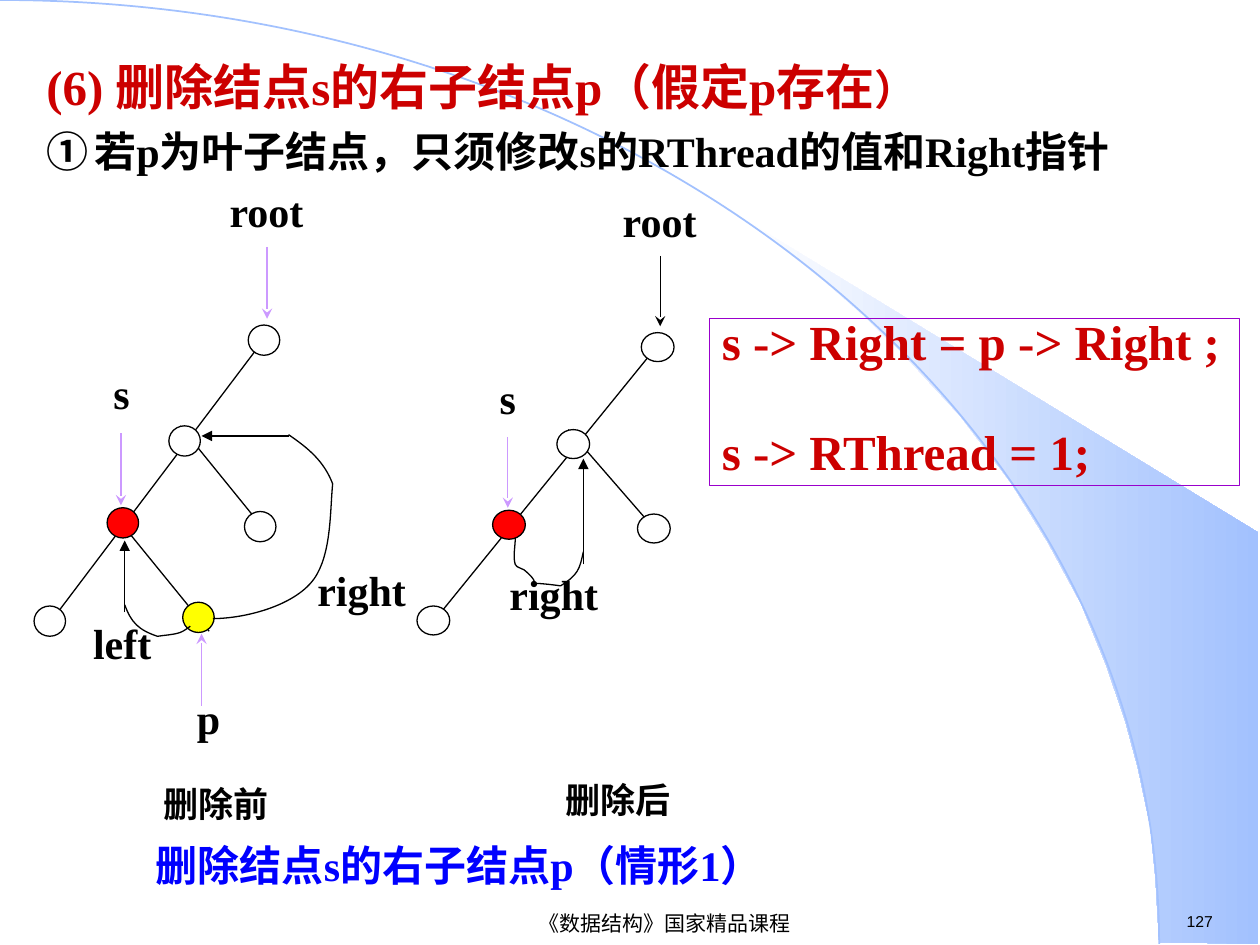
from pptx import Presentation, util as u
from pptx.dml.color import RGBColor
from pptx.enum import shapes, text
from pptx.oxml import ns
from lxml import etree

BLACK = RGBColor(0x00, 0x00, 0x00)
WHITE = RGBColor(0xFF, 0xFF, 0xFF)
RED = RGBColor(0xFF, 0x00, 0x00)
YELLOW = RGBColor(0xFF, 0xFF, 0x00)
BLUE = RGBColor(0x00, 0x00, 0xFF)
CRIMSON = RGBColor(0xCC, 0x00, 0x00)
PURPLE = RGBColor(0x99, 0x00, 0xCC)
LILAC = RGBColor(0xCC, 0x99, 0xFF)
SKY = RGBColor(0xA2, 0xC1, 0xFE)
CENTER, LEFT, JUSTIFY = text.PP_ALIGN.CENTER, text.PP_ALIGN.LEFT, text.PP_ALIGN.JUSTIFY
INSETS = (0.1, 0.05)


class SlideBuilder:
    """Draws styled elements on the current slide."""

    def __init__(self, slide, font="Times New Roman"):
        self.slide = slide
        self.font = font

    def style_paragraph(self, paragraph, size, color, bold=True, align=CENTER, font=None):
        paragraph.alignment = align
        paragraph.font.name = font or self.font
        paragraph.font.size = u.Pt(size)
        paragraph.font.bold = bold
        paragraph.font.color.rgb = color

    def fill_frame(self, shape, lines, margins=(0, 0)):
        frame = shape.text_frame
        frame.word_wrap = True
        frame.vertical_anchor = text.MSO_ANCHOR.TOP
        frame.margin_left = frame.margin_right = u.Inches(margins[0])
        frame.margin_top = frame.margin_bottom = u.Inches(margins[1])
        frame.text = "\n".join(lines)
        return frame

    def textbox(self, box, lines, margins=(0, 0)):
        shape = self.slide.shapes.add_textbox(*map(u.Inches, box))
        return self.fill_frame(shape, lines, margins)

    def label(self, box, wording, size=24, color=BLACK, margins=(0, 0), **style):
        frame = self.textbox(box, [wording], margins)
        self.style_paragraph(frame.paragraphs[0], size, color, **style)
        return frame

    def preset(self, kind, box, line_color, width, fill=None):
        shape = self.slide.shapes.add_shape(kind, *map(u.Inches, box))
        shape.shadow.inherit = False
        if fill is None:
            shape.fill.background()
        else:
            shape.fill.solid()
            shape.fill.fore_color.rgb = fill
        shape.line.color.rgb = line_color
        shape.line.width = u.Pt(width)
        return shape

    def line(self, start, end, color=BLACK, head=None):
        connector = self.slide.shapes.add_connector(
            shapes.MSO_CONNECTOR.STRAIGHT, *map(u.Inches, (*start, *end)))
        connector.line.color.rgb = color
        connector.line.width = u.Pt(0.75)
        properties = connector.line._get_or_add_ln()
        if head:
            etree.SubElement(properties, ns.qn("a:tailEnd"), type=head)
        etree.SubElement(properties.getparent(), ns.qn("a:effectLst"))

    def outline(self, points, close=False):
        start, *rest = [tuple(map(u.Inches, point)) for point in points]
        builder = self.slide.shapes.build_freeform(*start)
        builder.add_line_segments(rest, close=close)
        shape = builder.convert_to_shape()
        shape.shadow.inherit = False
        shape.fill.background()
        shape.line.fill.background()
        return shape

    def curve(self, points, color=BLACK, width=0.75):
        shape = self.outline(points)
        shape.line.color.rgb = color
        shape.line.width = u.Pt(width)
        segments = list(shape._element.iter(ns.qn("a:lnTo")))
        for first in range(0, len(segments), 3):
            bezier = etree.SubElement(segments[first].getparent(), ns.qn("a:cubicBezTo"))
            for segment in segments[first:first + 3]:
                bezier.append(segment[0])
                segment.getparent().remove(segment)

    def tree(self, size, edges, nodes, labels, arrows, curves):
        for start, end in edges:
            self.line(start, end)
        for left, top, color in nodes:
            self.preset(shapes.MSO_SHAPE.OVAL, (left, top, *size), BLACK, 0.75, color)
        for box, wording, points in labels:
            self.label(box, wording, points)
        for start, end, color, head in arrows:
            self.line(start, end, color, head)
        for points in curves:
            self.curve(points)


def draw_background(builder):
    beam = builder.outline(
        [(9.2, 7.48), (9.99, 7.49), (9.99, 4.23), (5.89, 1.73), (6.24, 1.99), (6.53, 2.22),
         (6.85, 2.5), (7.16, 2.8), (7.62, 3.3), (8.03, 3.84), (8.32, 4.31), (8.58, 4.79),
         (8.78, 5.28), (8.93, 5.72), (9.03, 6.09), (9.13, 6.56), (9.17, 6.96), (9.2, 7.48)])
    beam.fill.gradient()
    beam.fill.gradient_angle = 0
    for stop, color in zip(beam.fill.gradient_stops, (WHITE, SKY)):
        stop.color.rgb = color
    builder.curve([(0, 0), (5.08, 0), (9.2, 3.35), (9.2, 7.49)], SKY, 1)
    builder.label((9.32, 7.19, 0.77, 0.25), "127", 9, margins=INSETS, bold=False,
                  align=LEFT, font="Arial")
    footer = builder.label((2.4, 7.21, 5.75, 0.24), "《数据结构》国家精品课程", 12,
                           margins=INSETS, bold=False, font="Arial")
    footer.vertical_anchor = text.MSO_ANCHOR.MIDDLE


def draw_heading(builder):
    frame = builder.textbox(
        (0.27, 0.4, 9.29, 6.56),
        ["(6) 删除结点s的右子结点p（假定p存在", "①\t若p为叶子结点，只须修改s的RThread的值和Right指针"], INSETS)
    title, step = frame.paragraphs
    closing = title.add_run()
    closing.text = "）"
    closing.font.size = u.Pt(24)
    for paragraph, size, color in ((title, 28, CRIMSON), (step, 24, BLACK)):
        properties = paragraph._p.get_or_add_pPr()
        properties.set("marL", str(u.Inches(0.38)))
        properties.set("indent", str(u.Inches(-0.38)))
        builder.style_paragraph(paragraph, size, color, align=JUSTIFY)
    step.space_before = u.Pt(6)


def draw_code(builder):
    shape = builder.preset(shapes.MSO_SHAPE.RECTANGLE, (5.63, 2.53, 4.21, 1.32), PURPLE, 0.5)
    frame = builder.fill_frame(shape, ["s -> Right = p -> Right ;", "s -> RThread = 1;"], INSETS)
    for paragraph in frame.paragraphs:
        paragraph.line_spacing = 0.75
        builder.style_paragraph(paragraph, 28, CRIMSON, align=JUSTIFY)
    frame.paragraphs[1].space_before = u.Pt(38)


def main():
    presentation = Presentation()
    presentation.slide_width, presentation.slide_height = u.Inches(10), u.Inches(7.5)
    builder = SlideBuilder(presentation.slides.add_slide(presentation.slide_layouts[6]))
    draw_background(builder)
    draw_heading(builder)
    builder.label((0.67, 6.66, 5.95, 0.49), "删除结点s的右子结点p（情形1）", color=BLUE)
    builder.tree(
        size=(0.26, 0.23),
        edges=[((5.18, 2.79), (3.37, 5.02)), ((4.51, 3.41), (5.24, 4.25))],
        nodes=[(5.06, 4.08, WHITE), (3.31, 4.81, WHITE), (3.91, 4.05, RED),
               (4.42, 3.41, WHITE), (5.09, 2.64, WHITE)],
        labels=[((3.85, 4.51, 1.09, 0.56), "right", 24), ((3.67, 2.96, 0.72, 0.56), "s", 24),
                ((4.33, 1.55, 1.81, 0.56), "root", 24), ((4, 6.18, 1.81, 0.56), "删除后", 20)],
        arrows=[((5.24, 2.03), (5.24, 2.59), BLACK, "stealth"),
                ((4.03, 3.47), (4.03, 4.03), LILAC, "stealth"),
                ((4.63, 4.48), (4.63, 3.64), BLACK, "triangle")],
        curves=[[(4.63, 4.38), (4.6, 4.52), (4.59, 4.56), (4.45, 4.65),
                 (4.09, 4.6), (4.34, 4.68), (4.18, 4.54),
                 (4.16, 4.51), (4.1, 4.51), (4.09, 4.48),
                 (4.07, 4.42), (4.09, 4.34), (4.09, 4.27)]])
    builder.tree(
        size=(0.25, 0.24),
        edges=[((0.96, 4.15), (1.66, 5.01)), ((2.06, 2.74), (0.33, 5.03)),
               ((1.43, 3.38), (2.12, 4.23))],
        nodes=[(1.94, 4.06, WHITE), (0.27, 4.81, WHITE), (0.85, 4.03, RED),
               (1.34, 3.38, WHITE), (1.97, 2.58, WHITE), (1.45, 4.78, YELLOW)],
        labels=[((2.35, 4.48, 1.04, 0.57), "right", 24), ((0.45, 4.9, 1.04, 0.57), "left", 24),
                ((0.62, 2.92, 0.69, 0.57), "s", 24), ((1.25, 1.47, 1.73, 0.57), "root", 24),
                ((1.31, 5.5, 0.69, 0.57), "p", 24), ((0.85, 6.21, 1.73, 0.57), "删除前", 20)],
        arrows=[((2.12, 1.96), (2.12, 2.53), LILAC, "stealth"),
                ((0.96, 3.44), (0.96, 4.01), LILAC, "stealth"),
                ((1.6, 5.6), (1.6, 5.03), LILAC, "stealth"),
                ((0.99, 4.86), (0.99, 4.29), BLACK, "triangle"),
                ((2.29, 3.46), (1.6, 3.46), BLACK, "triangle")],
        curves=[[(0.99, 4.8), (1.04, 4.94), (1.1, 5), (1.25, 5.05),
                 (1.31, 5.04), (1.37, 5.04), (1.43, 5.02),
                 (1.46, 5.01), (1.51, 4.97), (1.51, 4.97)],
                [(2.29, 3.45), (2.45, 3.56), (2.57, 3.66), (2.64, 3.84),
                 (2.62, 4.04), (2.63, 4.35), (2.52, 4.55),
                 (2.39, 4.8), (1.95, 4.91), (1.69, 4.91)]])
    draw_code(builder)
    presentation.save("out.pptx")


if __name__ == "__main__":
    main()
